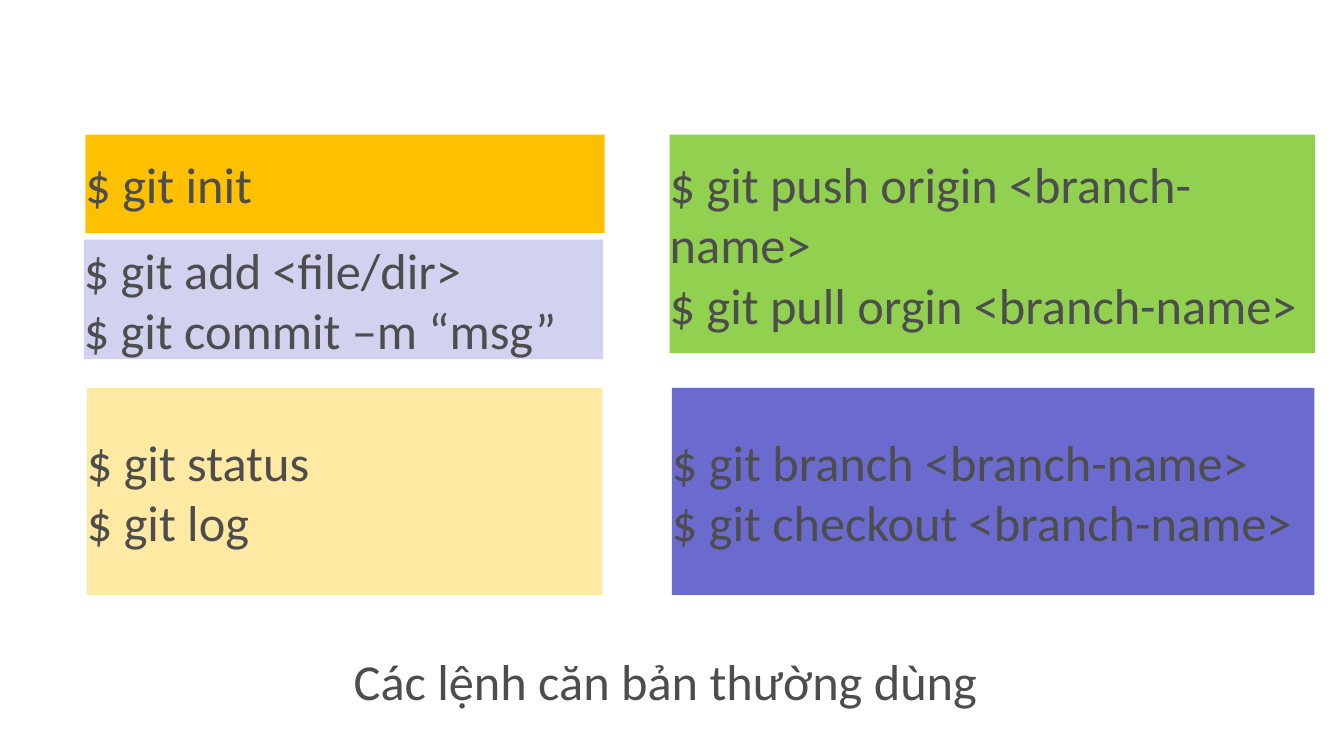
from pptx import Presentation
from pptx import util as u
from pptx.dml.color import RGBColor
from pptx.enum import shapes, text

EMU_PER_PX = 9144  # 100 px to the inch
WIDTH, HEIGHT = 1778, 1000

GRAY = RGBColor(0x4D, 0x4D, 0x4D)
AMBER = RGBColor(0xFF, 0xC0, 0x00)
LAVENDER = RGBColor(0xD1, 0xD1, 0xF0)
CREAM = RGBColor(0xFF, 0xE9, 0xA3)
GREEN = RGBColor(0x92, 0xD0, 0x50)
VIOLET = RGBColor(0x6B, 0x6B, 0xCF)

TOP_ROW, BOTTOM_ROW, BOTTOM_HEIGHT = 178, 513, 274

COMMAND_BOXES = [
    ((111, 317, 687, 158), LAVENDER,
     ["$ git add <file/dir>", "$ git commit –m “msg”"]),
    ((115, BOTTOM_ROW, 682, BOTTOM_HEIGHT), CREAM,
     ["$ git status", "$ git log"]),
    ((886, TOP_ROW, 854, 289), GREEN,
     ["$ git push origin <branch-name>", "$ git pull orgin <branch-name>"]),
    ((889, BOTTOM_ROW, 850, BOTTOM_HEIGHT), VIOLET,
     ["$ git branch <branch-name>", "$ git checkout <branch-name>"]),
    ((113, TOP_ROW, 687, 130), AMBER, ["$ git init"]),
]


def px(length):
    return u.Emu(length * EMU_PER_PX)


class SlideBuilder:
    FRAME = dict(margin_left=0, margin_top=0, margin_right=0, margin_bottom=0,
                 word_wrap=True, vertical_anchor=text.MSO_ANCHOR.MIDDLE)
    FONT = dict(name="Calibri", size=u.Pt(48))

    def __init__(self, slide):
        self.slide = slide

    def set_lines(self, shape, lines, alignment):
        frame = shape.text_frame
        for name, value in self.FRAME.items():
            setattr(frame, name, value)
        frame.text = "\n".join(lines)
        for paragraph in frame.paragraphs:
            paragraph.alignment = alignment
            for name, value in self.FONT.items():
                setattr(paragraph.font, name, value)
            paragraph.font.color.rgb = GRAY

    def command_box(self, place, fill, lines):
        shape = self.slide.shapes.add_shape(
            shapes.MSO_SHAPE.RECTANGLE, *map(px, place))
        shape.shadow.inherit = False
        shape.fill.solid()
        shape.fill.fore_color.rgb = fill
        shape.line.fill.background()
        self.set_lines(shape, lines, text.PP_ALIGN.LEFT)

    def caption(self, place, line):
        shape = self.slide.shapes.add_textbox(*map(px, place))
        self.set_lines(shape, [line], text.PP_ALIGN.CENTER)


def main():
    presentation = Presentation()
    presentation.slide_width = px(WIDTH)
    presentation.slide_height = px(HEIGHT)
    builder = SlideBuilder(
        presentation.slides.add_slide(presentation.slide_layouts[6]))
    for place, fill, lines in COMMAND_BOXES:
        builder.command_box(place, fill, lines)
    builder.caption((72, 833, 1617, 133), "Các lệnh căn bản thường dùng")
    presentation.save("out.pptx")


if __name__ == "__main__":
    main()
